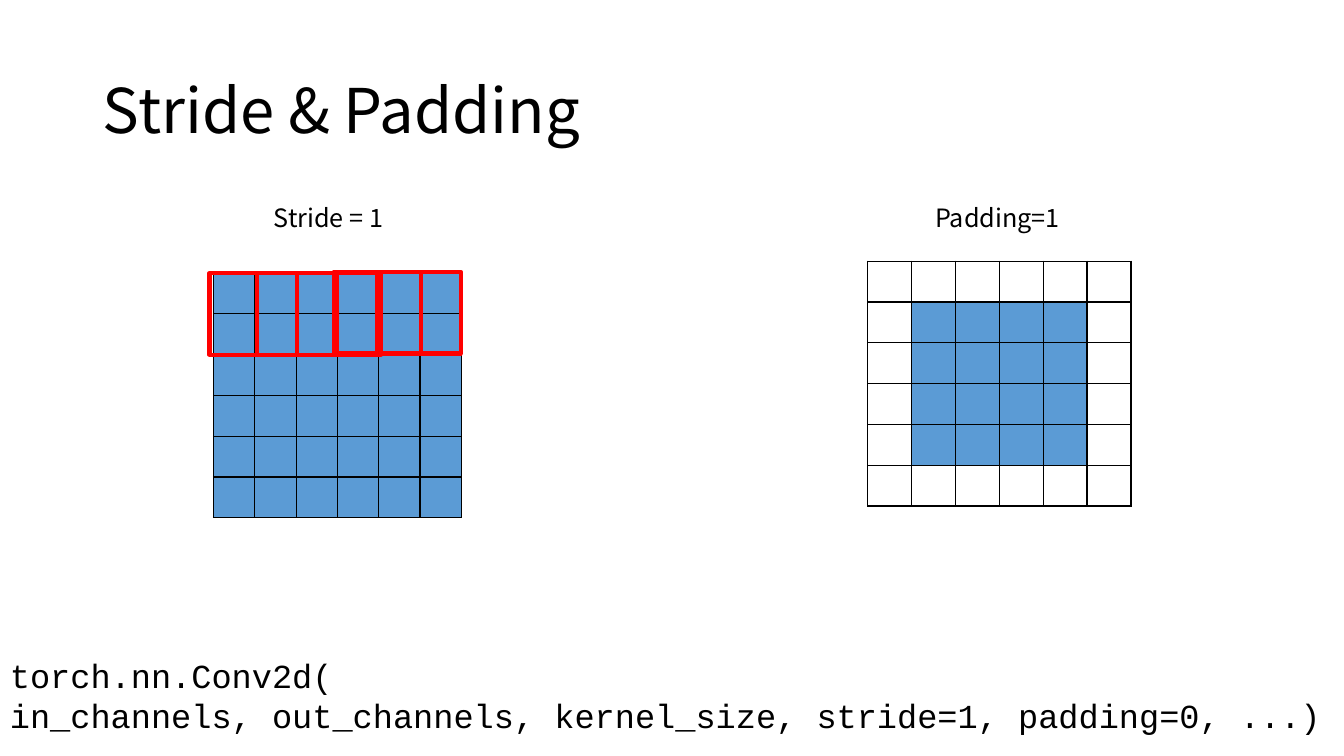
import pptx
import pptx.dml.color
import pptx.enum.shapes
import pptx.enum.text
import pptx.oxml
import pptx.oxml.ns
import pptx.util

Cm, Pt = pptx.util.Cm, pptx.util.Pt
COLORS = {"text": "000000", "grid": "000000", "cell": "5B9BD5", "kernel": "FF0000"}
SANS, MONO = "Noto Sans CJK KR", "Courier New"
GRID_SIZE = 6


def rgb(name):
    return pptx.dml.color.RGBColor.from_string(COLORS[name])


def add_run(p, text, size, font):
    r = p.add_run()
    r.text = text
    r.font.size, r.font.name = Pt(size), font
    r.font.color.rgb = rgb("text")


def add_title(slide, box, text):
    s = slide.shapes.title
    s.left, s.top, s.width, s.height = [Cm(v) for v in box]
    tf = s.text_frame
    tf.auto_size = pptx.enum.text.MSO_AUTO_SIZE.NONE
    tf.vertical_anchor = pptx.enum.text.MSO_ANCHOR.MIDDLE
    p = tf.paragraphs[0]
    p.alignment = pptx.enum.text.PP_ALIGN.LEFT
    p.line_spacing = 0.9
    add_run(p, text, 44, SANS)


def add_text(slide, box, lines, size, font, wrap):
    tf = slide.shapes.add_textbox(*[Cm(v) for v in box]).text_frame
    tf.word_wrap = wrap
    tf.auto_size = pptx.enum.text.MSO_AUTO_SIZE.SHAPE_TO_FIT_TEXT
    for i, line in enumerate(lines):
        p = tf.add_paragraph() if i else tf.paragraphs[0]
        add_run(p, line, size, font)


def set_borders(cell):
    tc_pr = cell._tc.get_or_add_tcPr()
    for side in ("lnL", "lnR", "lnT", "lnB"):
        tc_pr.append(pptx.oxml.parse_xml(
            f'<a:{side} {pptx.oxml.ns.nsdecls("a")} w="{Pt(1)}"><a:solidFill>'
            f'<a:srgbClr val="{COLORS["grid"]}"/></a:solidFill></a:{side}>'))


def add_grid(slide, box, padding):
    """Draw a square grid whose outer `padding` rings of cells stay unfilled."""
    table = slide.shapes.add_table(GRID_SIZE, GRID_SIZE, *[Cm(v) for v in box]).table
    table.first_row = table.horz_banding = False
    for column in table.columns:
        column.width = Cm(box[2] / GRID_SIZE)
    inner = range(padding, GRID_SIZE - padding)
    for i, row in enumerate(table.rows):
        row.height = Cm(box[3] / GRID_SIZE)
        for j, cell in enumerate(row.cells):
            cell.margin_top = cell.margin_bottom = 0
            set_borders(cell)
            if i in inner and j in inner:
                cell.fill.solid()
                cell.fill.fore_color.rgb = rgb("cell")
            else:
                cell.fill.background()


def add_kernel(slide, box):
    s = slide.shapes.add_shape(pptx.enum.shapes.MSO_SHAPE.RECTANGLE,
                               *[Cm(v) for v in box])
    s.shadow.inherit = False
    s.fill.background()
    s.line.color.rgb = rgb("kernel")
    s.line.width = Pt(3)


def add_stride_panel(slide, left, top, width, height):
    add_text(slide, (left + 1.27, top - 1.9, 3.43, 1.02), ["Stride = 1"], 18, SANS, False)
    add_grid(slide, (left, top, width, height), 0)
    kernels = [(-0.1, 0, 2.21), (1.1, 0, 2.01), (2.11, 0, 2.11),
               (3.03, -0.03, 2.21), (4.12, -0.03, 2.11)]
    for dx, dy, kernel_width in kernels:
        add_kernel(slide, (left + dx, top + dy, kernel_width, height / 3))


def add_padding_panel(slide, left, top, width, height):
    add_text(slide, (left + 1.45, top - 1.6, 3.68, 1.02), ["Padding=1"], 18, SANS, False)
    add_grid(slide, (left, top, width, height), 1)


def main():
    prs = pptx.Presentation()
    prs.slide_width, prs.slide_height = Cm(33.87), Cm(19.05)
    slide = prs.slides.add_slide(prs.slide_layouts[5])
    add_title(slide, (2.34, 1.02, 29.21, 3.68), "Stride & Padding")
    add_text(slide, (0, 16.38, 33.87, 2.31), [
        "torch.nn.Conv2d(",
        "in_channels, out_channels, kernel_size, stride=1, padding=0, ...)",
    ], 24, MONO, True)
    add_padding_panel(slide, 21.87, 6.58, 6.63, 6.17)
    add_stride_panel(slide, 5.38, 6.88, 6.25, 6.17)
    prs.save("out.pptx")


if __name__ == "__main__":
    main()
